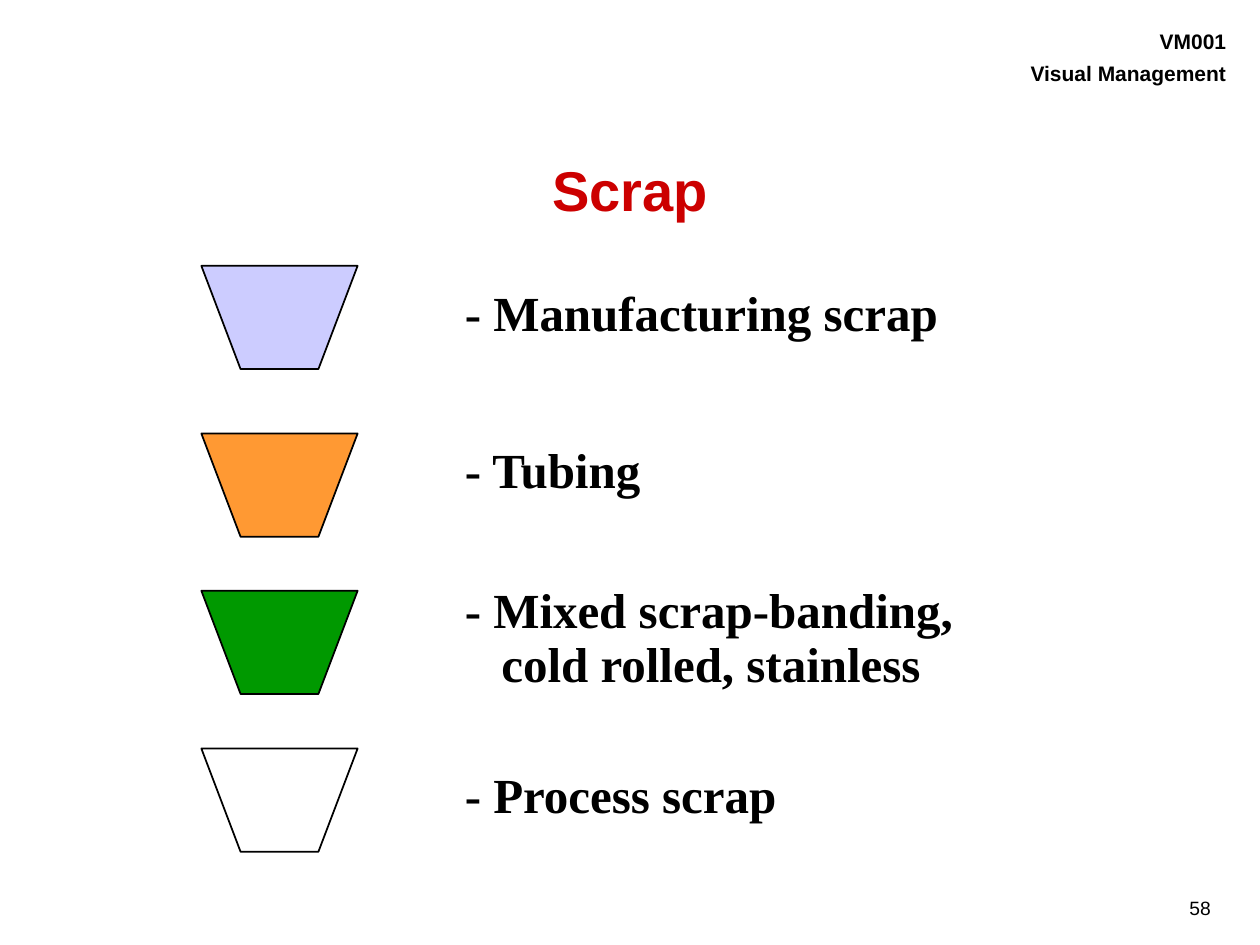
"""Build the slide that explains the scrap bin colours."""
from pptx import Presentation
from pptx.dml.color import RGBColor
from pptx.enum.text import MSO_ANCHOR, PP_ALIGN
from pptx.util import Cm, Pt

LEFT, CENTER, RIGHT = PP_ALIGN.LEFT, PP_ALIGN.CENTER, PP_ALIGN.RIGHT
TOP, MIDDLE = MSO_ANCHOR.TOP, MSO_ANCHOR.MIDDLE
COLORS = {
    "text": "000000",
    "title": "CC0000",
    "manufacturing": "CCCCFF",
    "tubing": "FF9933",
    "mixed": "009900",
    "process": "FFFFFF",
}
BIN_LEFT, BIN_WIDTH, BIN_HEIGHT, BIN_TAPER = 4.06, 3.15, 2.08, 0.79
LABEL_LEFT = 9.12


def write(shape, text, size, font="Arial", color="text", bold=True, align=LEFT,
          anchor=TOP, margins=(0.25, 0.13), line_spacing=None, gap=0, indent=0):
    frame = shape.text_frame
    frame.word_wrap = True
    frame.vertical_anchor = anchor
    frame.margin_left = frame.margin_right = Cm(margins[0])
    frame.margin_top = frame.margin_bottom = Cm(margins[1])
    for number, line in enumerate(text.split("\n")):
        paragraph = frame.paragraphs[0] if number == 0 else frame.add_paragraph()
        paragraph.alignment = align
        paragraph.line_spacing = line_spacing
        if number:
            paragraph.space_before = Pt(gap)
            paragraph._p.get_or_add_pPr().set("marL", str(Cm(indent)))
        run = paragraph.add_run()
        run.text = line
        run.font.name = font
        run.font.size = Pt(size)
        run.font.bold = bold
        run.font.color.rgb = RGBColor.from_string(COLORS[color])


deck = Presentation()
deck.slide_width, deck.slide_height = Cm(25.4), Cm(19.05)
slide = deck.slides.add_slide(deck.slide_layouts[5])
shapes = slide.shapes

page_number = shapes.add_textbox(Cm(18.77), Cm(17.96), Cm(5.87), Cm(0.69))
write(page_number, "58", 11, bold=False, align=RIGHT, margins=(0.23, 0.1))

course = shapes.add_textbox(Cm(18.75), Cm(0.51), Cm(5.97), Cm(2.24))
write(course, "VM001\nVisual Management", 12, align=RIGHT, margins=(0, 0.07), gap=4)

title = shapes.title
title.left, title.top, title.width, title.height = Cm(1.9), Cm(2.82), Cm(21.6), Cm(2.21)
write(title, "Scrap", 32, color="title", align=CENTER, anchor=MIDDLE, line_spacing=0.85)

scrap_kinds = [
    ("manufacturing", 5.36, "- Manufacturing scrap", 5.56, 10.64, 1.45, {}),
    ("tubing", 8.74, "- Tubing", 8.74, 13.54, 1.45, {}),
    ("mixed", 11.91, "- Mixed scrap-banding,\ncold rolled, stainless", 12.07, 13.54, 2.03,
     {"line_spacing": 0.5, "gap": 14, "indent": 0.74}),
    ("process", 15.09, "- Process scrap", 15.29, 8.89, 1.45, {}),
]
for kind, bin_top, wording, label_top, label_width, label_height, spacing in scrap_kinds:
    right, bottom = BIN_LEFT + BIN_WIDTH, bin_top + BIN_HEIGHT
    outline = shapes.build_freeform(Cm(BIN_LEFT), Cm(bin_top))
    outline.add_line_segments([
        (Cm(BIN_LEFT + BIN_TAPER), Cm(bottom)),
        (Cm(right - BIN_TAPER), Cm(bottom)),
        (Cm(right), Cm(bin_top)),
    ], close=True)
    scrap_bin = outline.convert_to_shape()
    scrap_bin.shadow.inherit = False
    scrap_bin.fill.solid()
    scrap_bin.fill.fore_color.rgb = RGBColor.from_string(COLORS[kind])
    scrap_bin.line.color.rgb = RGBColor.from_string(COLORS["text"])
    scrap_bin.line.width = Pt(1)

    label = shapes.add_textbox(Cm(LABEL_LEFT), Cm(label_top), Cm(label_width), Cm(label_height))
    write(label, wording, 28, font="Times New Roman", **spacing)

deck.save("out.pptx")
